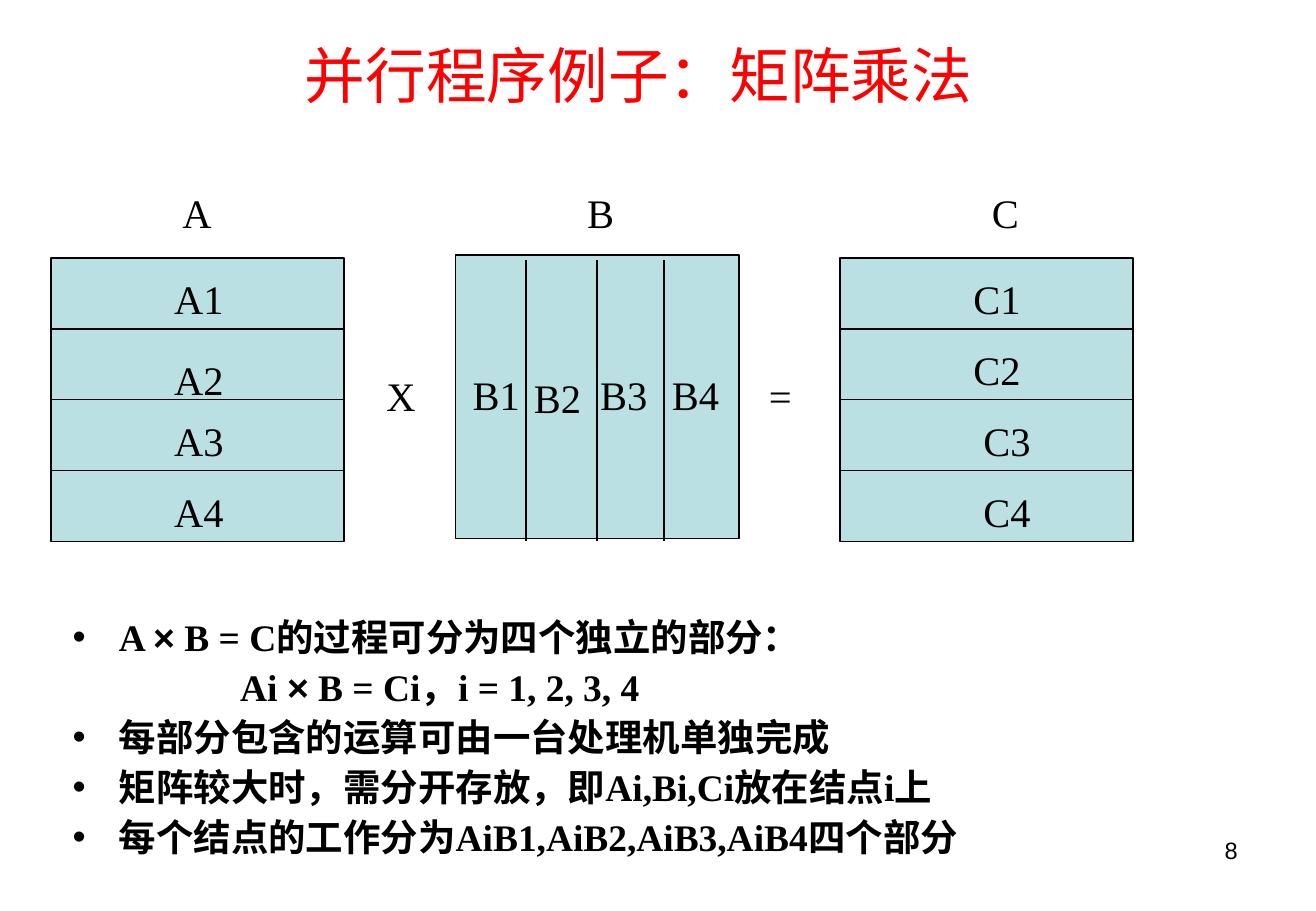
from dataclasses import dataclass

from lxml.etree import SubElement
from pptx import Presentation
from pptx.dml.color import RGBColor
from pptx.enum.shapes import MSO_CONNECTOR as CONN, MSO_SHAPE as SHAPE
from pptx.enum.text import MSO_ANCHOR as ANCHOR, MSO_AUTO_SIZE as FIT, PP_ALIGN as ALIGN
from pptx.oxml.ns import qn
from pptx.util import Pt


@dataclass(frozen=True)
class Theme:
    ink: RGBColor = RGBColor(0, 0, 0)
    title_ink: RGBColor = RGBColor(0xFF, 0, 0)
    block: RGBColor = RGBColor(0xBB, 0xE0, 0xE3)
    sans: str = "Arial"
    serif: str = "Times New Roman"
    title: float = 36
    label: float = 24
    body: float = 22.2
    number: float = 14
    rule: float = 1


def add_text(p, text, *, font, size, color, bold=False):
    r = p.add_run()
    r.text = text
    f = r.font
    f.name, f.size, f.bold = font, Pt(size), bold
    f.color.rgb = color


def set_indent(p, left, hanging=0, bullet=None):
    pPr = p._p.get_or_add_pPr()
    pPr.set("marL", str(Pt(left)))
    pPr.set("indent", str(-Pt(hanging)))
    if bullet:
        SubElement(pPr, qn("a:buFont")).set("typeface", "Arial")
        SubElement(pPr, qn("a:buChar")).set("char", bullet)
    else:
        SubElement(pPr, qn("a:buNone"))


class Deck:
    def __init__(self, prs, theme):
        self.theme = theme
        self.s = prs.slides.add_slide(prs.slide_layouts[6])

    def frame(self, x, y, w, h, wrap=True):
        tf = self.s.shapes.add_textbox(Pt(x), Pt(y), Pt(w), Pt(h)).text_frame
        tf.word_wrap = wrap
        return tf

    def text(self, text, x, y, w, h, align, font, size, color, anchor=ANCHOR.TOP):
        tf = self.frame(x, y, w, h)
        tf.vertical_anchor = anchor
        p = tf.paragraphs[0]
        p.alignment = align
        add_text(p, text, font=font, size=size, color=color)

    def label(self, text, x, y, w, align=ALIGN.LEFT, wrap=True):
        t = self.theme
        tf = self.frame(x, y, w, 36, wrap)
        tf.auto_size = FIT.SHAPE_TO_FIT_TEXT
        tf.paragraphs[0].alignment = align
        add_text(tf.paragraphs[0], text, font=t.serif, size=t.label, color=t.ink)

    def block(self, x, y, w, h):
        t = self.theme
        sp = self.s.shapes.add_shape(SHAPE.RECTANGLE, Pt(x), Pt(y), Pt(w), Pt(h))
        sp.shadow.inherit = False
        sp.fill.solid()
        sp.fill.fore_color.rgb = t.block
        sp.line.color.rgb = t.ink
        sp.line.width = Pt(t.rule)

    def line(self, x1, y1, x2, y2):
        ln = self.s.shapes.add_connector(CONN.STRAIGHT, Pt(x1), Pt(y1), Pt(x2), Pt(y2))
        ln.line.color.rgb = self.theme.ink
        ln.line.width = Pt(self.theme.rule)
        SubElement(ln._element.spPr, qn("a:effectLst"))

    def points(self, items, x, y, w, h):
        t = self.theme
        tf = self.frame(x, y, w, h)
        for i, (text, bulleted) in enumerate(items):
            p = tf.add_paragraph() if i else tf.paragraphs[0]
            if bulleted:
                set_indent(p, 27.4, 27.4, "•")
            else:
                set_indent(p, 99.4)
            p.line_spacing = 1.0
            p.space_before = Pt(3 if i else 0)
            # The multiplication sign is set in the sans face
            for part in text.replace("×", "|×|").split("|"):
                font = t.sans if part == "×" else t.serif
                add_text(p, part, font=font, size=t.body, color=t.ink, bold=True)


def main():
    prs = Presentation()
    prs.slide_width = Pt(780.48)
    prs.slide_height = Pt(540)
    t = Theme()
    d = Deck(prs, t)

    # Title
    d.text("并行程序例子：矩阵乘法", 72.7, 0, 612, 88.5, ALIGN.CENTER,
           t.sans, t.title, t.title_ink, ANCHOR.MIDDLE)

    # Explanation
    d.points([
        ("A × B = C的过程可分为四个独立的部分：", True),
        ("Ai × B = Ci，i = 1, 2, 3, 4", False),
        ("每部分包含的运算可由一台处理机单独完成", True),
        ("矩阵较大时，需分开存放，即Ai,Bi,Ci放在结点i上", True),
        ("每个结点的工作分为AiB1,AiB2,AiB3,AiB4四个部分", True),
    ], 36, 360.3, 695.5, 156)

    # Matrices A and C, split into four rows
    top, row, width = 152.9, 42, 174
    nudge = {"A2": (0, 6), "C3": (6, 0), "C4": (6, 0)}
    for name, left, label_x in (("A", 30.2, 96.2), ("C", 498.2, 570.2)):
        d.block(left, top, width, 4 * row)
        for i in range(4):
            if i:
                d.line(left, top + i * row, left + width, top + i * row)
            cell = f"{name}{i + 1}"
            dx, dy = nudge.get(cell, (0, 0))
            d.label(cell, label_x + dx, top + 6 + i * row + dy, 54)

    # Matrix B, split into four columns
    d.block(270.2, 151.2, 168, 168)
    for x in (311.8, 354.2, 393.8):
        d.line(x, 154.1, x, 320.8)
    for cell, x, y, w in (("B1", 273.1, 215.6, 42.5), ("B2", 306.1, 217.7, 49),
                          ("B3", 348.7, 215.6, 42.5), ("B4", 391.2, 215.6, 42.5)):
        d.label(cell, x, y, w, ALIGN.CENTER, wrap=False)

    # Matrix names and operators
    for text, x, y, w in (("A", 101.1, 108, 31.7), ("B", 341.1, 108, 30.4),
                          ("C", 581.2, 108, 30.4), ("=", 448.9, 216.3, 28)):
        d.label(text, x, y, w, wrap=False)
    d.label("X", 222, 216.3, 36.7)

    # Slide number
    d.text("8", 559, 492.1, 182.2, 37.4, ALIGN.RIGHT, t.sans, t.number, t.ink)

    prs.save("out.pptx")


if __name__ == "__main__":
    main()
